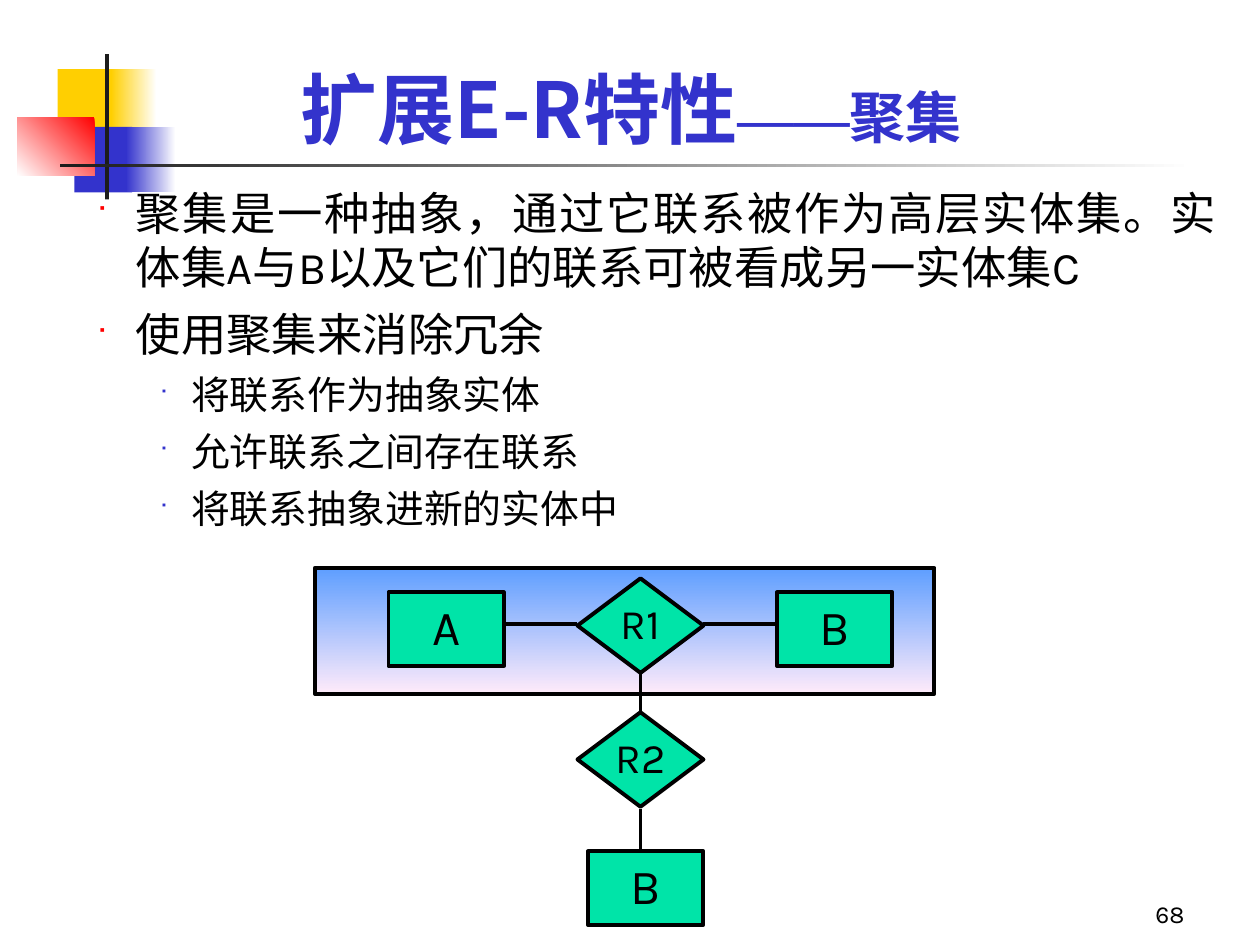
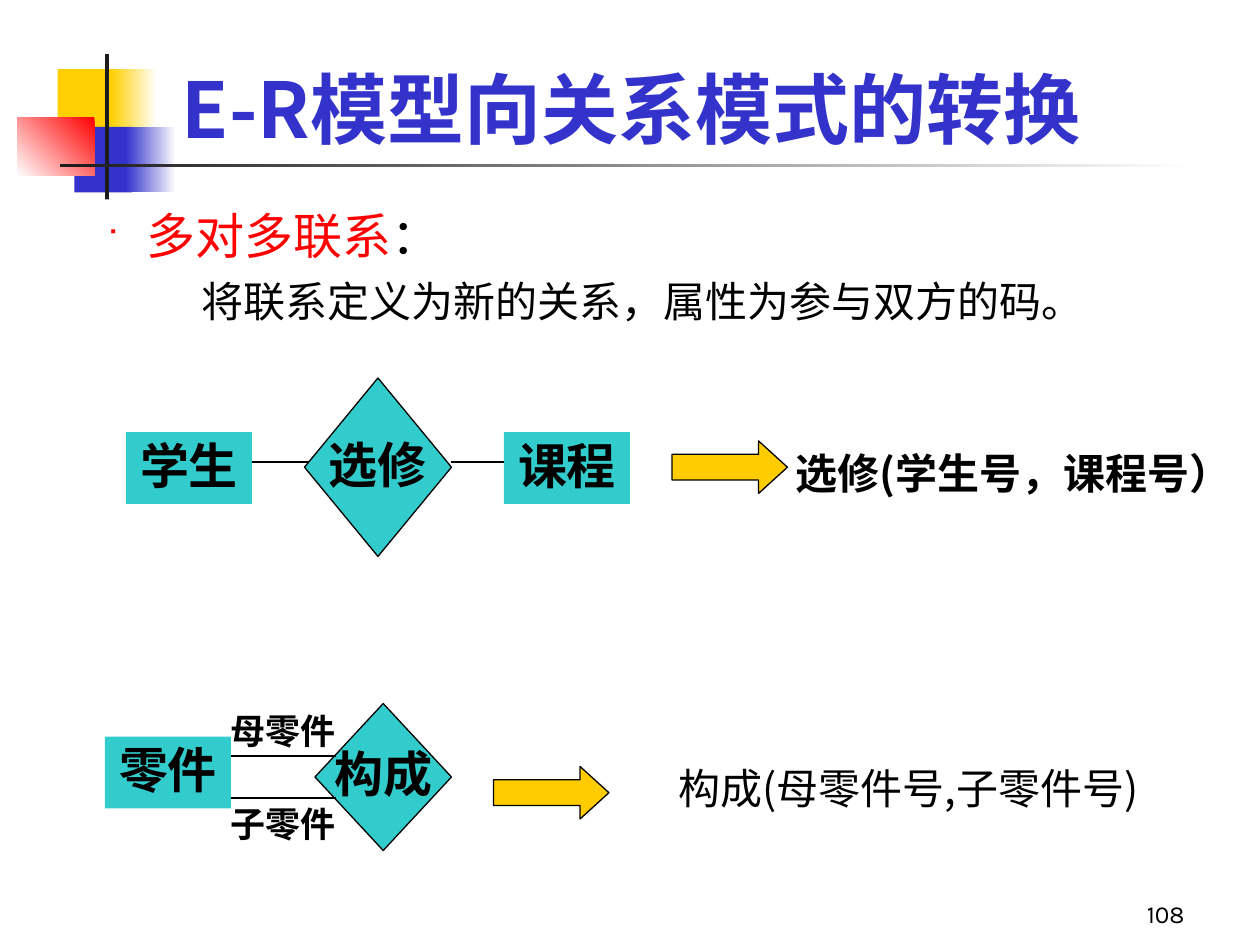
import pptx
import pptx.util
import pptx.dml.color
import pptx.enum.shapes
import pptx.enum.text
import pptx.oxml
import pptx.oxml.ns

Pt = pptx.util.Pt
SHAPE = pptx.enum.shapes.MSO_SHAPE
ANCHOR = pptx.enum.text.MSO_ANCHOR
ALIGN = pptx.enum.text.PP_ALIGN

KARLA, TIMES = "Karla", "Times New Roman"
CJK, CJK_JP = "Noto Sans CJK SC", "Noto Sans CJK JP"
BLACK, WHITE, DARK = "000000", "FFFFFF", "1C1C1C"
BLUE, RED, YELLOW = "3333CC", "FF0000", "FFCF01"
GREEN, TEAL, GOLD = "00E4A8", "33CCCC", "FFCC00"


def color(value):
    return pptx.dml.color.RGBColor.from_string(value)


def add_xml(parent, tag, **attributes):
    element = pptx.oxml.parse_xml(f"<a:{tag} {pptx.oxml.ns.nsdecls('a')}/>")
    for name, value in attributes.items():
        element.set(name, value)
    parent.append(element)
    return element


class Deck:
    # Per list level: left margin, space before, bullet colour, bullet size in percent
    LEVELS = [(58.5, 7, RED, 55), (90, 6, BLUE, 50)]

    def __init__(self):
        self.presentation = pptx.Presentation()
        self.presentation.slide_width = Pt(720)
        self.presentation.slide_height = Pt(540)
        self.slide = None

    def start_slide(self, number):
        self.slide = self.presentation.slides.add_slide(self.presentation.slide_layouts[1])
        self.rectangle(33, 39.5, 34.5, 37.5, YELLOW)
        self.rectangle(63.5, 39.5, 26, 37.5, (WHITE, YELLOW, 180))
        self.rectangle(42.5, 72.5, 33, 37.5, BLUE)
        self.rectangle(72, 72.5, 28.5, 37.5, (WHITE, BLUE, 180))
        self.rectangle(10, 67, 44, 33.5, (RED, WHITE, 135))
        self.rectangle(60, 31, 2.25, 83, DARK)
        self.rectangle(34.5, 93.5, 648, 2.25, (WHITE, DARK, 180))
        self.text_box(534, 498, 150, 36, number, 14, KARLA,
                      align=ALIGN.RIGHT, anchor=ANCHOR.BOTTOM)

    def place(self, placeholder, left, top, width, height):
        """Move a placeholder and bring it in front of the decoration."""
        placeholder.left, placeholder.top = Pt(left), Pt(top)
        placeholder.width, placeholder.height = Pt(width), Pt(height)
        self.slide.shapes._spTree.append(placeholder._element)
        frame = placeholder.text_frame
        frame.auto_size = pptx.enum.text.MSO_AUTO_SIZE.NONE
        return frame

    def run(self, paragraph, text, size, font=KARLA, fill=BLACK, bold=False, asian=CJK):
        run = paragraph.add_run()
        run.text = text
        run.font.name, run.font.size, run.font.bold = font, Pt(size), bold
        run.font.color.rgb = color(fill)
        add_xml(run._r.get_or_add_rPr(), "ea", typeface=asian)

    def indent(self, paragraph, margin, first):
        properties = paragraph._p.get_or_add_pPr()
        properties.set("marL", str(Pt(margin)))
        properties.set("indent", str(Pt(first)))
        return properties

    def title(self, *runs):
        frame = self.place(self.slide.shapes.title, 54, 18, 613.5, 73.5)
        frame.vertical_anchor = ANCHOR.BOTTOM
        paragraph = frame.paragraphs[0]
        paragraph.alignment = ALIGN.CENTER
        for text, size, font in runs:
            self.run(paragraph, text, size, font, BLUE, True, font)

    def body(self, box, items):
        """Fill the list; each item is (level, bulleted, size, (text, colour)...)."""
        frame = self.place(self.slide.placeholders[1], *box)
        for index, (level, bulleted, size, *runs) in enumerate(items):
            paragraph = frame.add_paragraph() if index else frame.paragraphs[0]
            margin, before, bullet_color, bullet_size = self.LEVELS[level]
            paragraph.level = level
            paragraph.alignment = ALIGN.JUSTIFY
            paragraph.space_before = Pt(before)
            first = (-18 if level else -22.5) if bulleted else 0
            properties = self.indent(paragraph, margin, first)
            if bulleted:
                add_xml(add_xml(properties, "buClr"), "srgbClr", val=bullet_color)
                add_xml(properties, "buSzPct", val=str(bullet_size * 1000))
                add_xml(properties, "buFont", typeface="Wingdings")
                add_xml(properties, "buChar", char="■")
            else:
                add_xml(properties, "buNone")
            for text, fill in runs:
                self.run(paragraph, text, size, fill=fill)

    def shape(self, kind, left, top, width, height, fill, line=None):
        """Draw a preset shape; fill is a colour or (start, end, clockwise angle)."""
        shape = self.slide.shapes.add_shape(kind, Pt(left), Pt(top), Pt(width), Pt(height))
        shape.shadow.inherit = False
        if isinstance(fill, tuple):
            shape.fill.gradient()
            shape.fill.gradient_angle = 360 - fill[2]
            for stop, value in zip(shape.fill.gradient_stops, fill):
                stop.color.rgb = color(value)
        else:
            shape.fill.solid()
            shape.fill.fore_color.rgb = color(fill)
        if line:
            shape.line.color.rgb = color(BLACK)
            shape.line.width = Pt(line)
        else:
            shape.line.fill.background()
        return shape

    def rectangle(self, left, top, width, height, fill, line=None):
        return self.shape(SHAPE.RECTANGLE, left, top, width, height, fill, line)

    def diamond(self, left, top, width, height, fill, line):
        return self.shape(SHAPE.DIAMOND, left, top, width, height, fill, line)

    def label(self, shape, text, size, font, bold=False):
        frame = shape.text_frame
        frame.word_wrap = False
        frame.vertical_anchor = ANCHOR.MIDDLE
        paragraph = frame.paragraphs[0]
        paragraph.alignment = ALIGN.CENTER
        paragraph.line_spacing = 0.9
        paragraph.space_before = Pt(size / 4)
        self.run(paragraph, text, size, font, bold=bold)

    def text_box(self, left, top, width, height, text, size, font, bold=False,
                 align=ALIGN.CENTER, anchor=ANCHOR.TOP, asian=CJK):
        box = self.slide.shapes.add_textbox(Pt(left), Pt(top), Pt(width), Pt(height))
        frame = box.text_frame
        frame.word_wrap = True
        frame.vertical_anchor = anchor
        paragraph = frame.paragraphs[0]
        paragraph.alignment = align
        self.run(paragraph, text, size, font, bold=bold, asian=asian)
        return paragraph

    def relation_schema(self, left, top, width, height, text, bold=False):
        paragraph = self.text_box(left, top, width, height, text, 24, CJK_JP, bold,
                                  asian=CJK_JP)
        paragraph.space_before = Pt(6)
        self.indent(paragraph, 58.5, -22.5)

    def line(self, x1, y1, x2, y2, width):
        connector = self.slide.shapes.add_connector(
            pptx.enum.shapes.MSO_CONNECTOR.STRAIGHT, Pt(x1), Pt(y1), Pt(x2), Pt(y2))
        connector.line.color.rgb = color(BLACK)
        connector.line.width = Pt(width)
        add_xml(connector._element.spPr, "effectLst")

    def arrow(self, left, top):
        arrow = self.shape(SHAPE.RIGHT_ARROW, left, top, 66, 30, GOLD, 0.75)
        arrow.adjustments[0], arrow.adjustments[1] = 0.49, 0.55


def aggregation_slide(deck):
    deck.start_slide("68")
    deck.body((12, 102, 690, 240), [
        (0, True, 25.9, ("聚集是一种抽象，通过它联系被作为高层实体集。"
                         "实体集A与B以及它们的联系可被看成另一实体集C", BLACK)),
        (0, True, 25.9, ("使用聚集来消除冗余", BLACK)),
        *[(1, True, 22.2, (text, BLACK)) for text in
          ("将联系作为抽象实体", "允许联系之间存在联系", "将联系抽象进新的实体中")],
    ])
    deck.title(("扩展E-R特性", 44, CJK), ("——", 32, TIMES), ("聚集", 32, CJK))

    deck.rectangle(180, 324.5, 354, 72, ("5E9EFF", "FFEBFA", 90), 2.25)
    for name, left, top in (("A", 222, 338.5), ("B", 444, 338.5), ("B", 336, 486.5)):
        deck.label(deck.rectangle(left, top, 66, 42, GREEN, 2.25), name, 28, KARLA)
    for name, top in (("R1", 330.5), ("R2", 407)):
        deck.label(deck.diamond(330, top, 72, 54, GREEN, 2.25), name, 24, KARLA)
    for left in (288, 402):
        deck.line(left, 356.5, left + 42, 356.5, 2.25)
    for top in (384.5, 462.5):
        deck.line(366, top, 366, top + 24, 2.25)


def many_to_many_slide(deck):
    def entity(left, top, text):
        deck.label(deck.rectangle(left, top, 72, 41, TEAL), text, 28, TIMES, True)

    def relationship(left, top, width, height, text):
        deck.label(deck.diamond(left, top, width, height, TEAL, 0.75), text, 28, TIMES, True)

    deck.start_slide("108")
    deck.title(("E-R模型向关系模式的转换", 44, CJK))
    deck.body((18, 114, 687, 83), [
        (0, True, 28, ("多对多联系", RED), ("：", BLACK)),
        (1, False, 24, ("将联系定义为新的关系，属性为参与双方的码。", BLACK)),
    ])

    entity(72, 247, "学生")
    entity(288, 247, "课程")
    deck.line(144, 264, 180, 264, 0.75)
    deck.line(258, 264, 288, 264, 0.75)
    relationship(174, 216, 84, 102, "选修")
    deck.relation_schema(411, 252, 300, 36, "选修(学生号，课程号）", True)
    deck.arrow(384, 252)

    relationship(180, 402, 78, 84, "构成")
    entity(60, 421, "零件")
    for role, line_top, text_top in (("母零件", 432, 402), ("子零件", 456, 455)):
        deck.line(132, line_top, 192, line_top, 0.75)
        deck.text_box(120, text_top, 84, 31.5, role, 20, TIMES, True)
    deck.arrow(282, 438)
    deck.relation_schema(312, 432, 378, 48, "构成(母零件号,子零件号)")


def main():
    deck = Deck()
    aggregation_slide(deck)
    many_to_many_slide(deck)
    deck.presentation.save("out.pptx")


if __name__ == "__main__":
    main()
